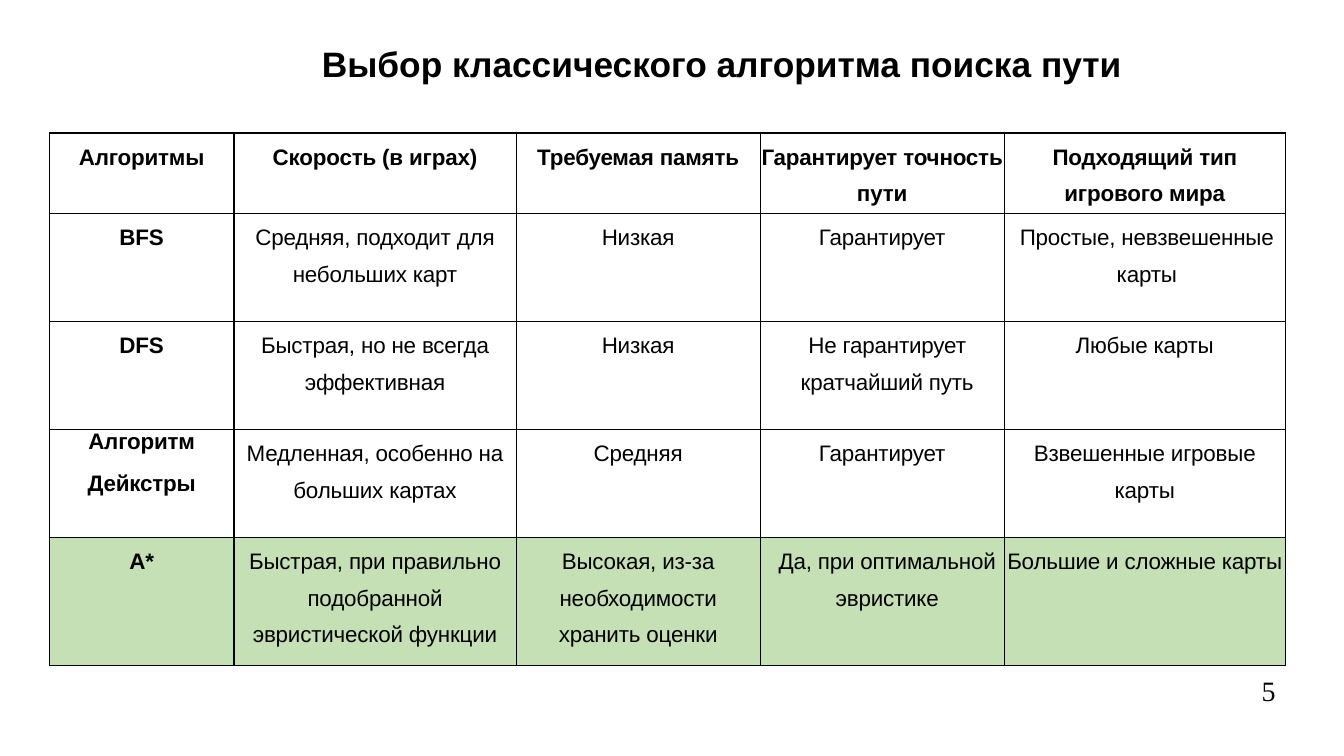
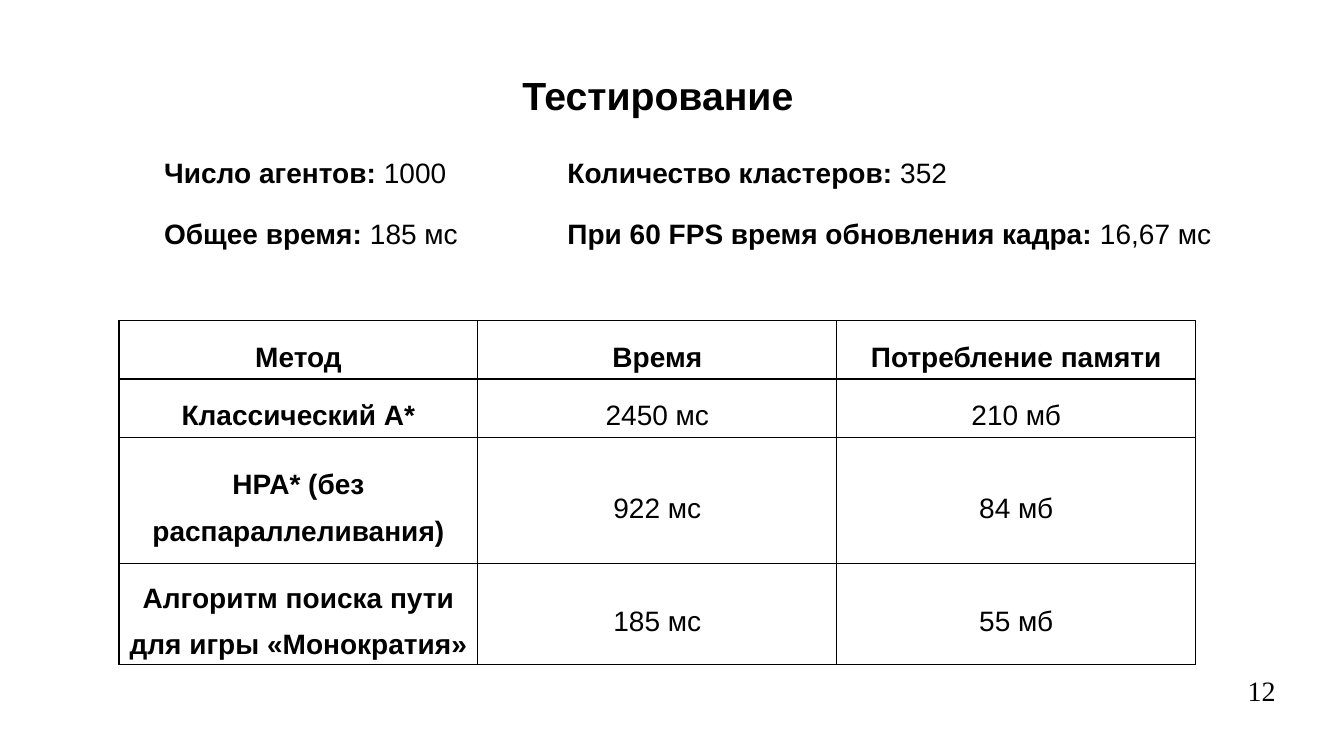
"""Build two slides on pathfinding: algorithm comparison and test results."""
from lxml.etree import SubElement
from pptx import Presentation
from pptx.dml.color import RGBColor
from pptx.enum.text import MSO_ANCHOR, PP_ALIGN
from pptx.oxml.ns import qn
from pptx.util import Inches, Pt

BLACK = RGBColor(0x00, 0x00, 0x00)
GREEN = RGBColor(0xC5, 0xE0, 0xB4)
BODY_FONT = "Arial"
NUMBER_FONT = "Times New Roman"

ALGORITHMS = {
    "place": (0.49, 1.32),
    "columns": [1.83, 2.8, 2.42, 2.42, 2.79],
    "rows": [0.8, 1.07, 1.07, 1.07, 1.27],
    "size": 16,
    "line_spacing": 1.48,
    "character_spacing": -10,
    "side_margin": 0,
    "anchor": MSO_ANCHOR.TOP,
    "highlighted_row": 4,
    "indents": {(1, 4): 0.04, (2, 3): 0.1, (4, 3): 0.1},
    "single_spaced": [(3, 0)],
    "cells": [
        ["Алгоритмы", "Скорость (в играх)", "Требуемая память",
         "Гарантирует точность пути", "Подходящий тип игрового мира"],
        ["BFS", "Средняя, подходит для небольших карт", "Низкая",
         "Гарантирует", "Простые, невзвешенные карты"],
        ["DFS", "Быстрая, но не всегда эффективная", "Низкая",
         "Не гарантирует кратчайший путь", "Любые карты"],
        ["Алгоритм\nДейкстры", "Медленная, особенно на больших картах", "Средняя",
         "Гарантирует", "Взвешенные игровые карты"],
        ["A*", "Быстрая, при правильно подобранной эвристической функции",
         "Высокая, из-за необходимости хранить оценки",
         "Да, при оптимальной эвристике", "Большие и сложные карты"],
    ],
}

RESULTS = {
    "place": (1.18, 3.18),
    "columns": [3.56] * 3,
    "rows": [0.58, 0.58, 1.25, 0.93],
    "size": 20,
    "line_spacing": 1.5,
    "character_spacing": 0,
    "side_margin": 0.07,
    "anchor": MSO_ANCHOR.MIDDLE,
    "highlighted_row": None,
    "indents": {},
    "single_spaced": [],
    "cells": [
        ["Метод", "Время", "Потребление памяти"],
        ["Классический А*", "2450 мс", "210 мб"],
        ["HPA* (без распараллеливания)", "922 мс", "84 мб"],
        ["Алгоритм поиска пути для игры «Монократия»", "185 мс", "55 мб"],
    ],
}

FACTS = [
    [("Число агентов: ", "1000"), ("Количество кластеров: ", "352")],
    [("Общее время: ", "185 мс"), ("При 60 FPS время обновления кадра: ", "16,67 мс")],
]
FACTS_BOX = (1.53, 1.53, 10.9, 1.52)
FACTS_TAB = 4
NUMBER_BOX = (9.75, 6.65, 3, 0.4)


def style_run(run, size, bold=False, font=BODY_FONT):
    run.font.size = Pt(size)
    run.font.bold = bold
    run.font.name = font
    run.font.color.rgb = BLACK


def add_text_box(slide, box, anchor=MSO_ANCHOR.MIDDLE):
    text_frame = slide.shapes.add_textbox(*map(Inches, box)).text_frame
    text_frame.word_wrap = True
    text_frame.vertical_anchor = anchor
    return text_frame


def add_line(slide, box, text, alignment, size, **style):
    paragraph = add_text_box(slide, box).paragraphs[0]
    paragraph.text = text
    paragraph.alignment = alignment
    style_run(paragraph.runs[0], size, **style)
    return paragraph


def add_slide(presentation, title, title_box, title_size, number):
    slide = presentation.slides.add_slide(presentation.slide_layouts[6])
    heading = add_line(slide, title_box, title, PP_ALIGN.CENTER, title_size, bold=True)
    heading.line_spacing = 0.9
    add_line(slide, NUMBER_BOX, str(number), PP_ALIGN.RIGHT, 20, font=NUMBER_FONT)
    return slide


def add_borders(cell):
    properties = cell._tc.get_or_add_tcPr()
    for side in ("lnL", "lnR", "lnT", "lnB"):
        line = SubElement(properties, qn(f"a:{side}"), w=str(Pt(1)))
        fill = SubElement(line, qn("a:solidFill"))
        SubElement(fill, qn("a:srgbClr"), val=str(BLACK))


def fill_cell(cell, text, position, data):
    row, column = position
    add_borders(cell)
    if row == data["highlighted_row"]:
        cell.fill.solid()
        cell.fill.fore_color.rgb = GREEN
    else:
        cell.fill.background()
    cell.margin_left = cell.margin_right = Inches(data["side_margin"])
    cell.margin_top = cell.margin_bottom = 0
    cell.vertical_anchor = data["anchor"]
    cell.text_frame.text = text
    for index, paragraph in enumerate(cell.text_frame.paragraphs):
        paragraph.alignment = PP_ALIGN.CENTER
        if position not in data["single_spaced"]:
            paragraph.line_spacing = data["line_spacing"]
        if index:
            paragraph.space_before = Pt(12.1)
        if position in data["indents"]:
            indent = Inches(data["indents"][position])
            paragraph._p.get_or_add_pPr().set("marL", str(indent))
        run = paragraph.runs[0]
        style_run(run, data["size"], bold=row == 0 or column == 0)
        if data["character_spacing"]:
            run.font._element.set("spc", str(data["character_spacing"]))


def add_data_table(slide, data):
    columns, rows = data["columns"], data["rows"]
    table = slide.shapes.add_table(
        len(rows), len(columns), *map(Inches, data["place"]),
        Inches(sum(columns)), Inches(sum(rows))).table
    table.first_row = table.horz_banding = False
    for column, width in zip(table.columns, columns):
        column.width = Inches(width)
    for row, height in zip(table.rows, rows):
        row.height = Inches(height)
    for row, texts in enumerate(data["cells"]):
        for column, text in enumerate(texts):
            fill_cell(table.cell(row, column), text, (row, column), data)


def add_facts(slide):
    text_frame = add_text_box(slide, FACTS_BOX, MSO_ANCHOR.TOP)
    for index, facts in enumerate(FACTS):
        paragraph = text_frame.add_paragraph() if index else text_frame.paragraphs[0]
        tabs = SubElement(paragraph._p.get_or_add_pPr(), qn("a:tabLst"))
        SubElement(tabs, qn("a:tab"), pos=str(Inches(FACTS_TAB)), algn="l")
        paragraph.line_spacing = 0.9
        if index:
            paragraph.space_before = Pt(22)
        for position, (label, value) in enumerate(facts):
            ending = "\t" if position < len(facts) - 1 else ""
            for text, bold in ((label, True), (value + ending, False)):
                run = paragraph.add_run()
                run.text = text
                style_run(run, 20, bold)


def main():
    presentation = Presentation()
    presentation.slide_width = Inches(13.33)
    presentation.slide_height = Inches(7.5)
    comparison = add_slide(presentation, "Выбор классического алгоритма поиска пути",
                           (2.84, 0.3, 8.64, 0.72), 25.2, 5)
    add_data_table(comparison, ALGORITHMS)
    testing = add_slide(presentation, "Тестирование", (3.86, 0.52, 5.33, 0.9), 28, 12)
    add_data_table(testing, RESULTS)
    add_facts(testing)
    presentation.save("out.pptx")


if __name__ == "__main__":
    main()
